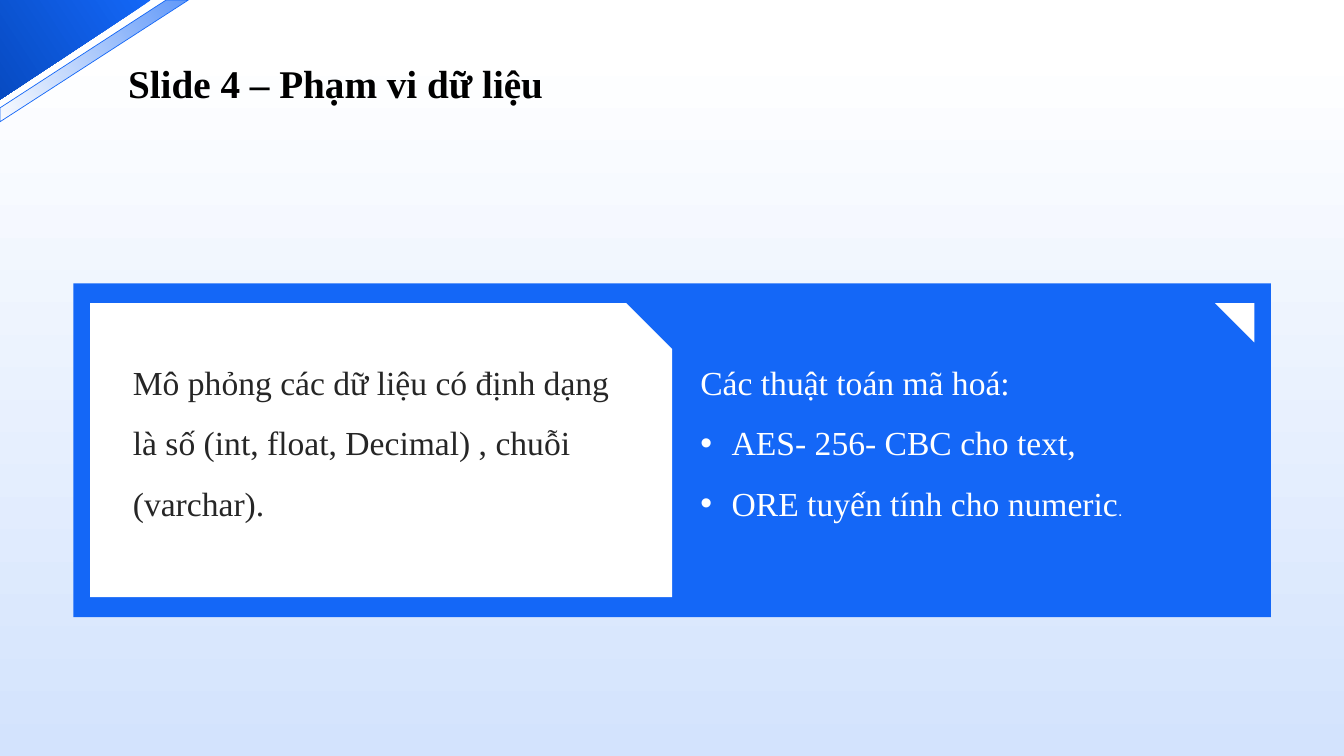
from lxml import etree
from pptx import Presentation
from pptx.dml.color import RGBColor
from pptx.enum.shapes import MSO_SHAPE
from pptx.enum.text import MSO_ANCHOR
from pptx.oxml.ns import qn
from pptx.util import Cm, Pt

RECT, SNIP = MSO_SHAPE.RECTANGLE, MSO_SHAPE.SNIP_1_RECTANGLE
WEDGE = MSO_SHAPE.RIGHT_TRIANGLE
TOP, MIDDLE = MSO_ANCHOR.TOP, MSO_ANCHOR.MIDDLE

WHITE = RGBColor(0xFF, 0xFF, 0xFF)
BLACK = RGBColor(0, 0, 0)
INK = RGBColor(0x26, 0x26, 0x26)
BLUE = RGBColor(0x14, 0x67, 0xF7)
NAVY = RGBColor(0x07, 0x4B, 0xC2)
AZURE = RGBColor(0x19, 0x6A, 0xF7)
SKY = RGBColor(0xD3, 0xE3, 0xFD)

SERIF, SANS = "Times New Roman", "Manrope"

# Content: each paragraph is (text, has bullet)
TITLE = [("Slide 4 – Phạm vi dữ liệu", False)]
DATA = [("Mô phỏng các dữ liệu có định dạng là số (int, float, Decimal) , "
         "chuỗi (varchar).", False)]
CODES = [
    ("Các thuật toán mã hoá:", False),
    ("AES- 256- CBC cho text,", True),
    ("ORE tuyến tính cho numeric", True),
]

# Layout in centimetres: left, top, width, height
WIDE, HIGH = 33.87, 19.05
FADE_TOP = 1.09
PANEL = (1.85, 7.14, 30.18, 8.41)
PAD_X, PAD_Y = 0.42, 0.5
WEDGE_SIZE = 0.99
TEXT_TOP, INDENT = 8.61, 0.79
CORNER = [(0, 0), (3.81, 0), (0, 2.51)]
STRIPE = [(4.19, 0), (4.75, 0), (0, 3.07), (0, 2.72)]
SLOPE = 146.8

prs = Presentation()
prs.slide_width, prs.slide_height = Cm(WIDE), Cm(HIGH)
slide = prs.slides.add_slide(prs.slide_layouts[6])
shapes = slide.shapes


def fade(shape, ends, angle, alphas=None):
    """Fill with two colours; the angle runs clockwise, alphas are percents."""
    shape.fill.gradient()
    shape.fill.gradient_angle = 360 - angle
    for i, (stop, color) in enumerate(zip(shape.fill.gradient_stops, ends)):
        stop.position = i
        stop.color.rgb = color
    if alphas:
        tags = shape.fill._xPr.iter(qn("a:srgbClr"))
        for tag, alpha in zip(tags, alphas):
            etree.SubElement(tag, qn("a:alpha"), val=str(alpha * 1000))


def add_box(kind, box, color=None):
    shape = shapes.add_shape(kind, *map(Cm, box))
    shape.shadow.inherit = False
    shape.line.fill.background()
    if color is not None:
        shape.fill.solid()
        shape.fill.fore_color.rgb = color
    return shape


def add_free(points):
    first, *rest = [(Cm(x), Cm(y)) for x, y in points]
    pen = shapes.build_freeform(*first)
    pen.add_line_segments(rest, close=True)
    shape = pen.convert_to_shape()
    shape.shadow.inherit = False
    shape.line.fill.background()
    return shape


def add_bullet(para):
    props = para._p.get_or_add_pPr()
    props.set("marL", str(Cm(INDENT)))
    props.set("indent", str(-Cm(INDENT)))
    etree.SubElement(props, qn("a:buFont"), typeface="Arial")
    etree.SubElement(props, qn("a:buChar"), char="•")


def add_run(para, text, size, color, font=SERIF, bold=False):
    run = para.add_run()
    run.text = text
    run.font.name, run.font.size, run.font.bold = font, Pt(size), bold
    run.font.color.rgb = color


def add_text(lines, box, size=24, color=INK, bold=False, gap=1.5, anchor=TOP):
    frame = shapes.add_textbox(*map(Cm, box)).text_frame
    frame.word_wrap = True
    frame.vertical_anchor = anchor
    frame.margin_left = frame.margin_right = 0
    frame.margin_top = frame.margin_bottom = 0
    for i, (text, bullet) in enumerate(lines):
        para = frame.add_paragraph() if i else frame.paragraphs[0]
        para.line_spacing = gap
        if bullet:
            add_bullet(para)
        add_run(para, text, size, color, bold=bold)
    return frame


fade(add_box(RECT, (0, FADE_TOP, WIDE, HIGH - FADE_TOP)), (WHITE, SKY), 90)

left, top, width, height = PANEL
add_box(RECT, PANEL, BLUE)
card = add_box(SNIP, (left + PAD_X, top + PAD_Y, width / 2 - PAD_X,
                      height - 2 * PAD_Y), WHITE)
card.adjustments[0] = 0.156
wedge = add_box(WEDGE, (left + width - PAD_X - WEDGE_SIZE, top + PAD_Y,
                        WEDGE_SIZE, WEDGE_SIZE), WHITE)
wedge.rotation = 180

add_text(DATA, (3.35, TEXT_TOP, 12.47, 5.16))
codes = add_text(CODES, (17.65, TEXT_TOP, 12.5, 5.33), color=WHITE)
add_run(codes.paragraphs[-1], ".", 14, WHITE, font=SANS)

fade(add_free(CORNER), (BLUE, NAVY), SLOPE)
stripe = add_free(STRIPE)
fade(stripe, (BLUE, AZURE), SLOPE, alphas=(68, 0))
stripe.line.color.rgb = BLUE
stripe.line.width = Pt(0.5)

add_text(TITLE, (3.23, 1.09, 21.39, 1.65), size=28, color=BLACK, bold=True,
         gap=1.3, anchor=MIDDLE)

prs.save("out.pptx")
